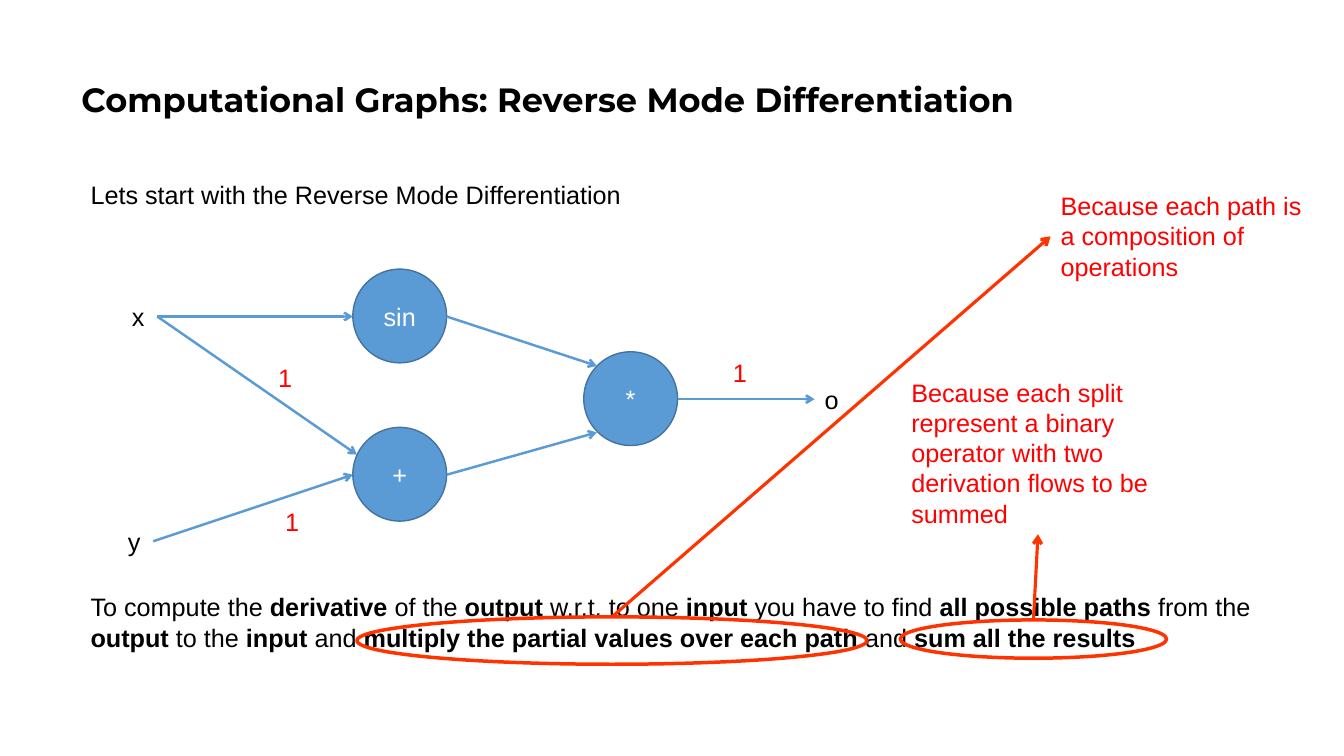
from lxml import etree
from pptx import Presentation
from pptx import util as u
from pptx.dml.color import RGBColor
from pptx.enum import shapes, text
from pptx.oxml.ns import qn

PX = 9144
BLACK = RGBColor(0x00, 0x00, 0x00)
WHITE = RGBColor(0xFF, 0xFF, 0xFF)
RED = RGBColor(0xFF, 0x00, 0x00)
BLUE = RGBColor(0x5B, 0x9B, 0xD5)
NAVY = RGBColor(0x43, 0x73, 0x9E)
ORANGE = RGBColor(0xFF, 0x33, 0x00)

prs = Presentation()
prs.slide_width, prs.slide_height = 1333 * PX, 750 * PX
s = prs.slides.add_slide(prs.slide_layouts[6])


def add_text(box, runs, color, wrap=True):
    sp = s.shapes.add_textbox(*[v * PX for v in box])
    tf = sp.text_frame
    tf.word_wrap = wrap
    tf.auto_size = text.MSO_AUTO_SIZE.SHAPE_TO_FIT_TEXT
    for i, words in enumerate(runs):
        r = tf.paragraphs[0].add_run()
        r.text = words
        font = {"name": "Arial", "size": u.Pt(18), "bold": i % 2 == 1}
        for key, value in font.items():
            setattr(r.font, key, value)
        r.font.color.rgb = color
    return sp


def add_ellipse(box, line, width):
    sp = s.shapes.add_shape(shapes.MSO_SHAPE.OVAL, *[v * PX for v in box])
    sp.shadow.inherit = False
    sp.fill.background()
    sp.line.color.rgb = line
    sp.line.width = u.Pt(width)
    return sp


title = add_text((71, 28, 1150, 145),
                 ["Computational Graphs: Reverse Mode Differentiation"], BLACK)
tf = title.text_frame
tf.auto_size = text.MSO_AUTO_SIZE.NONE
tf.vertical_anchor = text.MSO_ANCHOR.MIDDLE
p = tf.paragraphs[0]
p.line_spacing = 0.9
for key, value in {"name": "Montserrat", "size": u.Pt(24), "bold": True}.items():
    setattr(p.runs[0].font, key, value)

add_text((80, 173, 1173, 40),
         ["Lets start with the Reverse Mode Differentiation"], BLACK)

for label, x, y in [("sin", 350, 267), ("+", 350, 424), ("*", 579, 349)]:
    node = add_ellipse((x, y, 93, 93), NAVY, 1)
    node.fill.solid()
    node.fill.fore_color.rgb = BLUE
    tf = node.text_frame
    tf.vertical_anchor = text.MSO_ANCHOR.MIDDLE
    p = tf.paragraphs[0]
    p.alignment = text.PP_ALIGN.CENTER
    r = p.add_run()
    r.text = label
    r.font.name, r.font.size = "Arial", u.Pt(18)
    r.font.color.rgb = WHITE

x_in, y_in, out = [
    add_text((x, y, 35, 40), [label], BLACK, False)
    for label, x, y in [("x", 121, 294), ("y", 117, 517), ("o", 808, 376)]]

for x, y in [(273, 497), (266, 355), (717, 350)]:
    add_text((x, y, 36, 40), ["1"], RED, False)

add_text((80, 582, 1173, 101), [
    "To compute the ", "derivative ", "of the ", "output ", "w.r.t. to one ",
    "input ", "you have to find ", "all possible paths", " from the ",
    "output ", "to the ", "input ", "and ",
    "multiply the partial values over each path", " and ",
    "sum all the results"], BLACK)

path_note = add_text((1042, 184, 271, 101),
                     ["Because each path is a composition of operations"], RED)
split_note = add_text((894, 369, 271, 161), [
    "Because each split represent a binary operator with two derivation "
    "flows to be summed"], RED)
multiply_ring = add_ellipse((354, 612, 506, 47), ORANGE, 2.5)
sum_ring = add_ellipse((893, 615, 264, 38), ORANGE, 2.5)

arrows = [
    ((155, 314, 354, 451), BLUE, 1.75, (x_in, 3), None),
    ((155, 314, 350, 314), BLUE, 1.75, (x_in, 3), None),
    ((152, 537, 350, 471), BLUE, 1.75, (y_in, 3), None),
    ((443, 314, 592, 363), BLUE, 1.75, None, None),
    ((443, 471, 592, 429), BLUE, 1.75, None, None),
    ((672, 396, 808, 396), BLUE, 1.75, None, (out, 1)),
    ((607, 612, 1042, 234), ORANGE, 2.25, (multiply_ring, 0), (path_note, 1)),
    ((1026, 615, 1029, 530), ORANGE, 2.25, (sum_ring, 0), (split_note, 2)),
]
for ends, color, width, start, finish in arrows:
    c = s.shapes.add_connector(shapes.MSO_CONNECTOR.STRAIGHT,
                               *[v * PX for v in ends])
    if start:
        c.begin_connect(*start)
    if finish:
        c.end_connect(*finish)
    c.line.color.rgb = color
    c.line.width = u.Pt(width)
    etree.SubElement(c.line._get_or_add_ln(), qn("a:tailEnd"), type="arrow")
    etree.SubElement(c._element.spPr, qn("a:effectLst"))

prs.save("out.pptx")
